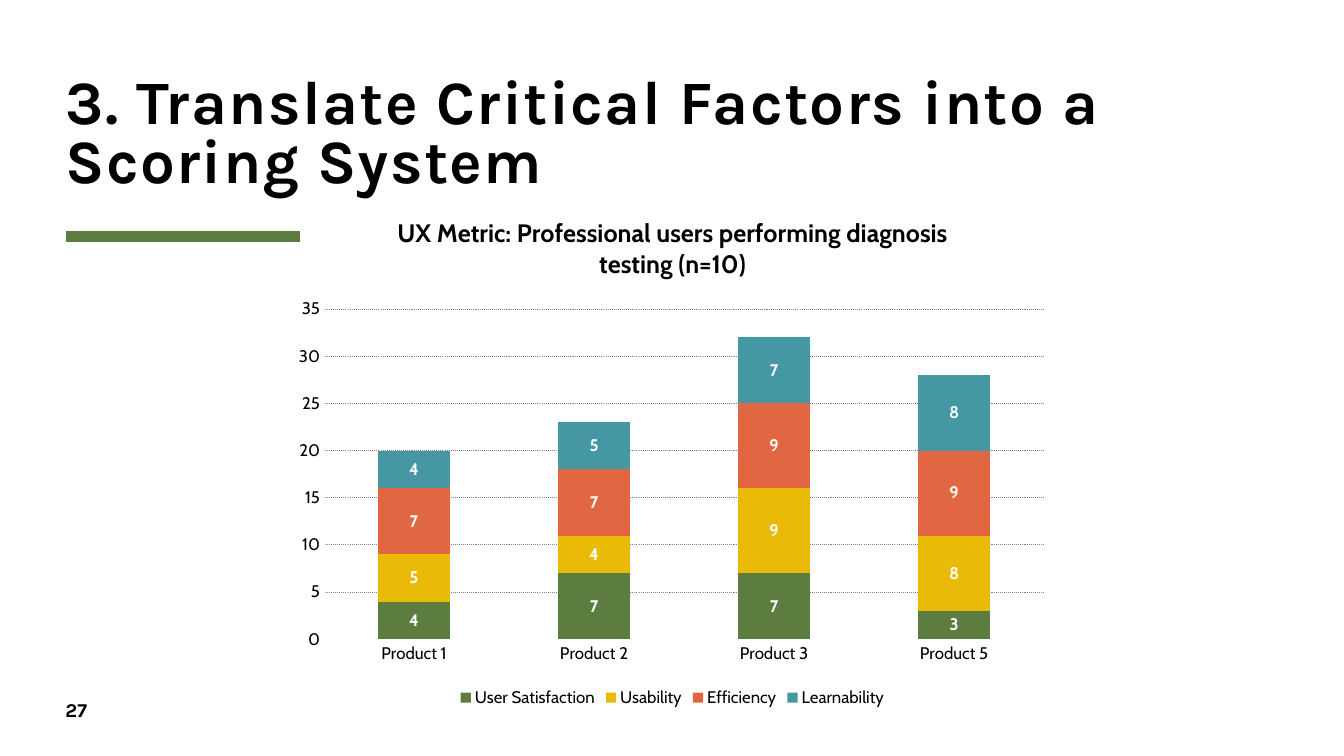
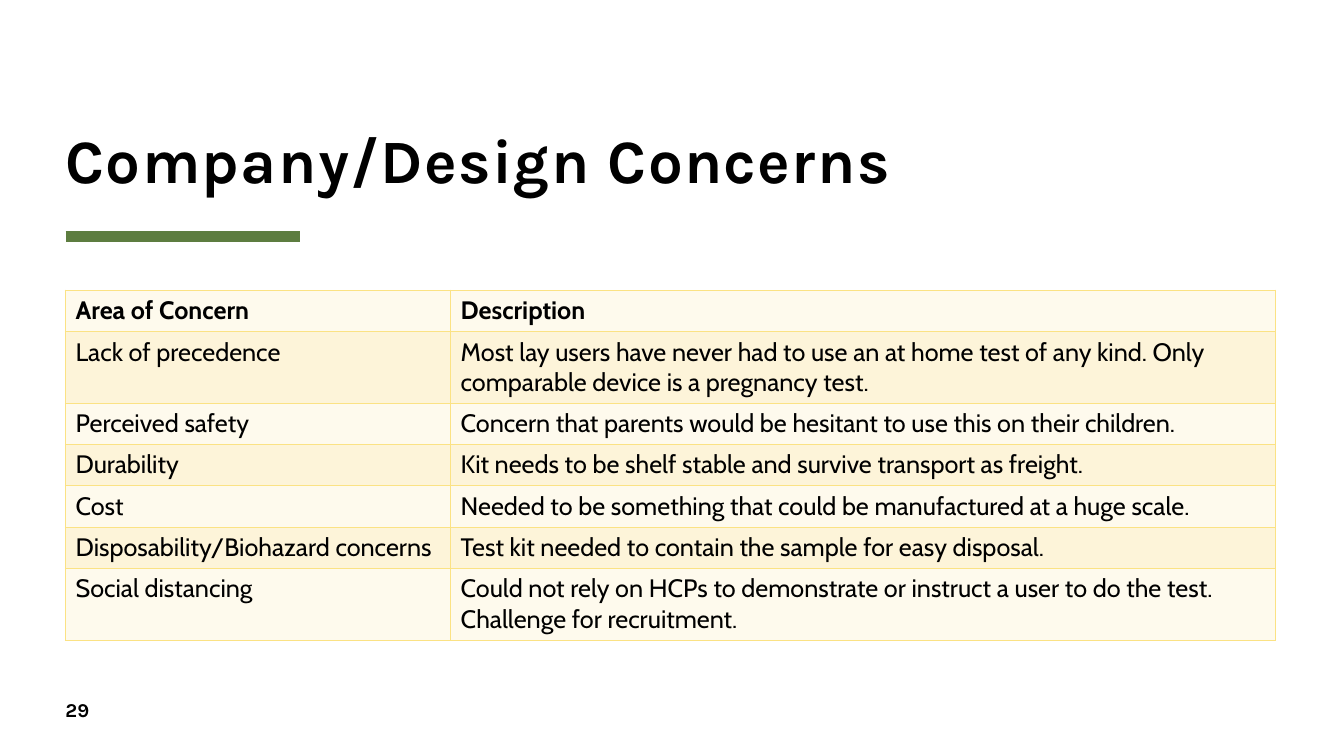
from lxml import etree
from pptx import Presentation
from pptx.chart.data import CategoryChartData
from pptx.dml.color import RGBColor
from pptx.enum.chart import XL_CHART_TYPE, XL_LABEL_POSITION, XL_LEGEND_POSITION, XL_TICK_MARK
from pptx.enum.dml import MSO_LINE
from pptx.enum.shapes import MSO_CONNECTOR
from pptx.enum.text import MSO_ANCHOR, MSO_AUTO_SIZE, PP_ALIGN
from pptx.oxml import parse_xml
from pptx.oxml.ns import qn
from pptx.util import Emu, Pt

STACKED = XL_CHART_TYPE.COLUMN_STACKED
LABEL_CENTER = XL_LABEL_POSITION.CENTER
LEGEND_BOTTOM = XL_LEGEND_POSITION.BOTTOM
NO_TICK = XL_TICK_MARK.NONE
DOTTED = MSO_LINE.ROUND_DOT
STRAIGHT = MSO_CONNECTOR.STRAIGHT
ANCHOR_TOP, ANCHOR_BOTTOM = MSO_ANCHOR.TOP, MSO_ANCHOR.BOTTOM
NO_AUTOFIT = MSO_AUTO_SIZE.NONE
LEFT = PP_ALIGN.LEFT

HEADING_FONT, BODY_FONT = "Karla", "Cabin"
BLACK, WHITE, GRAY = "000000", "FFFFFF", "808080"
GREEN, YELLOW, ORANGE, TEAL = "5D7D40", "E9BA08", "E06742", "4597A4"
BAND_FILLS = ("FEFAED", "FDF4D9")
BORDER = "FBE284"
MARGIN, CONTENT_WIDTH = 65, 1200
TITLE_LAYOUT = 5

PRODUCTS = ("Product 1", "Product 2", "Product 3", "Product 5")
SCORES = (
    ("User Satisfaction", (4, 7, 7, 3), GREEN),
    ("Usability", (5, 4, 9, 8), YELLOW),
    ("Efficiency", (7, 7, 9, 9), ORANGE),
    ("Learnability", (4, 5, 7, 8), TEAL),
)
CONCERNS = (
    ("Area of Concern", "Description", 41),
    ("Lack of precedence",
     "Most lay users have never had to use an at home test of any kind. "
     "Only comparable device is a pregnancy test.", 71),
    ("Perceived safety",
     "Concern that parents would be hesitant to use this on their children.", 41),
    ("Durability", "Kit needs to be shelf stable and survive transport as freight.", 41),
    ("Cost", "Needed to be something that could be manufactured at a huge scale.", 41),
    ("Disposability/Biohazard concerns",
     "Test kit needed to contain the sample for easy disposal.", 41),
    ("Social distancing",
     "Could not rely on HCPs to demonstrate or instruct a user to do the test. "
     "Challenge for recruitment.", 71),
)


def px(length):
    return Emu(length * 9144)


def color(value):
    return RGBColor.from_string(value)


def style_font(font, size, name=BODY_FONT, fill=BLACK, bold=False):
    font.size = Pt(size)
    font.name = name
    font.bold = bold
    font.color.rgb = color(fill)


def write_text(frame, text, size, name=BODY_FONT, bold=False, line_spacing=None, letter_spacing=None):
    paragraph = frame.paragraphs[0]
    paragraph.alignment = LEFT
    paragraph.line_spacing = line_spacing
    run = paragraph.add_run()
    run.text = text
    style_font(run.font, size, name, bold=bold)
    if letter_spacing:
        run.font._element.set("spc", str(letter_spacing))


def clear_insets(frame, anchor):
    frame.margin_left = frame.margin_right = frame.margin_top = frame.margin_bottom = 0
    frame.word_wrap = True
    frame.auto_size = NO_AUTOFIT
    frame.vertical_anchor = anchor


def add_accent_line(slide):
    line = slide.shapes.add_connector(STRAIGHT, px(MARGIN), px(235), px(298), px(235))
    line.line.color.rgb = color(GREEN)
    line.line.width = Pt(8)
    etree.SubElement(line._element.spPr, qn("a:effectLst"))


def add_titled_slide(presentation, title_text, number):
    slide = presentation.slides.add_slide(presentation.slide_layouts[TITLE_LAYOUT])
    add_accent_line(slide)
    title = slide.shapes.title
    title.left, title.top, title.width, title.height = map(px, (MARGIN, 22, CONTENT_WIDTH, 172))
    clear_insets(title.text_frame, ANCHOR_BOTTOM)
    write_text(title.text_frame, title_text, 44, HEADING_FONT, bold=True,
               line_spacing=0.8, letter_spacing=100)
    number_box = slide.shapes.add_textbox(px(MARGIN), px(692), px(57), px(27))
    clear_insets(number_box.text_frame, ANCHOR_TOP)
    write_text(number_box.text_frame, number, 14, HEADING_FONT, bold=True)
    return slide


def style_axis(axis):
    axis.major_tick_mark = axis.minor_tick_mark = NO_TICK
    style_font(axis.tick_labels.font, 12)


def place_plot(chart, x, y, width, height):
    plot_area = chart._chartSpace.chart.plotArea
    for layout in plot_area.findall(qn("c:layout")):
        plot_area.remove(layout)
    layout = etree.Element(qn("c:layout"))
    manual = etree.SubElement(layout, qn("c:manualLayout"))
    settings = (("layoutTarget", "inner"), ("xMode", "edge"), ("yMode", "edge"),
                ("x", x), ("y", y), ("w", width), ("h", height))
    for tag, value in settings:
        etree.SubElement(manual, qn(f"c:{tag}")).set("val", str(value))
    plot_area.insert(0, layout)


def add_score_chart(slide, title_text):
    data = CategoryChartData()
    data.categories = PRODUCTS
    for name, values, _ in SCORES:
        data.add_series(name, values)
    frame = slide.shapes.add_chart(STACKED, px(283), px(194), px(768), px(512), data)
    chart = frame.chart
    style_font(chart.font, 10)

    chart.has_title = True
    write_text(chart.chart_title.text_frame, title_text, 18, bold=True)
    chart.chart_title.text_frame.paragraphs[0].alignment = PP_ALIGN.CENTER
    chart.chart_title.include_in_layout = False
    chart.has_legend = True
    chart.legend.position = LEGEND_BOTTOM
    chart.legend.include_in_layout = False
    style_font(chart.legend.font, 12)

    style_axis(chart.category_axis)
    chart.category_axis.format.line.color.rgb = color(WHITE)
    chart.category_axis.format.line.width = Pt(0.75)
    value_axis = chart.value_axis
    style_axis(value_axis)
    value_axis.minimum_scale, value_axis.maximum_scale, value_axis.major_unit = 0, 35, 5
    value_axis.format.line.fill.background()
    grid = value_axis.major_gridlines.format.line
    grid.color.rgb = color(GRAY)
    grid.width = Pt(0.75)
    grid.dash_style = DOTTED

    plot = chart.plots[0]
    plot.gap_width, plot.overlap = 150, 100
    plot.vary_by_categories = False
    for series, (_, _, fill) in zip(plot.series, SCORES):
        series.format.fill.solid()
        series.format.fill.fore_color.rgb = color(fill)
        labels = series.data_labels
        labels.show_value = True
        labels.position = LABEL_CENTER
        style_font(labels.font, 12, fill=WHITE, bold=True)
    place_plot(chart, 0.05, 0.22, 0.93, 0.64)


def add_borders(cell):
    properties = cell._tc.get_or_add_tcPr()
    namespace = "http://schemas.openxmlformats.org/drawingml/2006/main"
    for position, side in enumerate(("lnL", "lnR", "lnT", "lnB")):
        properties.insert(position, parse_xml(
            f'<a:{side} xmlns:a="{namespace}" w="12700"><a:solidFill>'
            f'<a:srgbClr val="{BORDER}"/></a:solidFill></a:{side}>'))


def add_concern_table(slide):
    height = sum(row_height for _, _, row_height in CONCERNS)
    frame = slide.shapes.add_table(len(CONCERNS), 2, px(MARGIN), px(288), px(CONTENT_WIDTH), px(height))
    table = frame.table
    table.horz_banding = False
    for column, width in zip(table.columns, (382, 818)):
        column.width = px(width)
    for index, (area, description, row_height) in enumerate(CONCERNS):
        row = table.rows[index]
        row.height = px(row_height)
        for cell, text in zip(row.cells, (area, description)):
            cell.fill.solid()
            cell.fill.fore_color.rgb = color(BAND_FILLS[index % 2])
            write_text(cell.text_frame, text, 18, bold=index == 0)
            add_borders(cell)


def main():
    presentation = Presentation()
    presentation.slide_width, presentation.slide_height = px(1333), px(750)
    scoring = add_titled_slide(presentation, "3. Translate Critical Factors into a Scoring System", "27")
    add_score_chart(scoring, "UX Metric: Professional users performing diagnosis testing (n=10)")
    concerns = add_titled_slide(presentation, "Company/Design Concerns", "29")
    add_concern_table(concerns)
    presentation.save("out.pptx")


if __name__ == "__main__":
    main()
